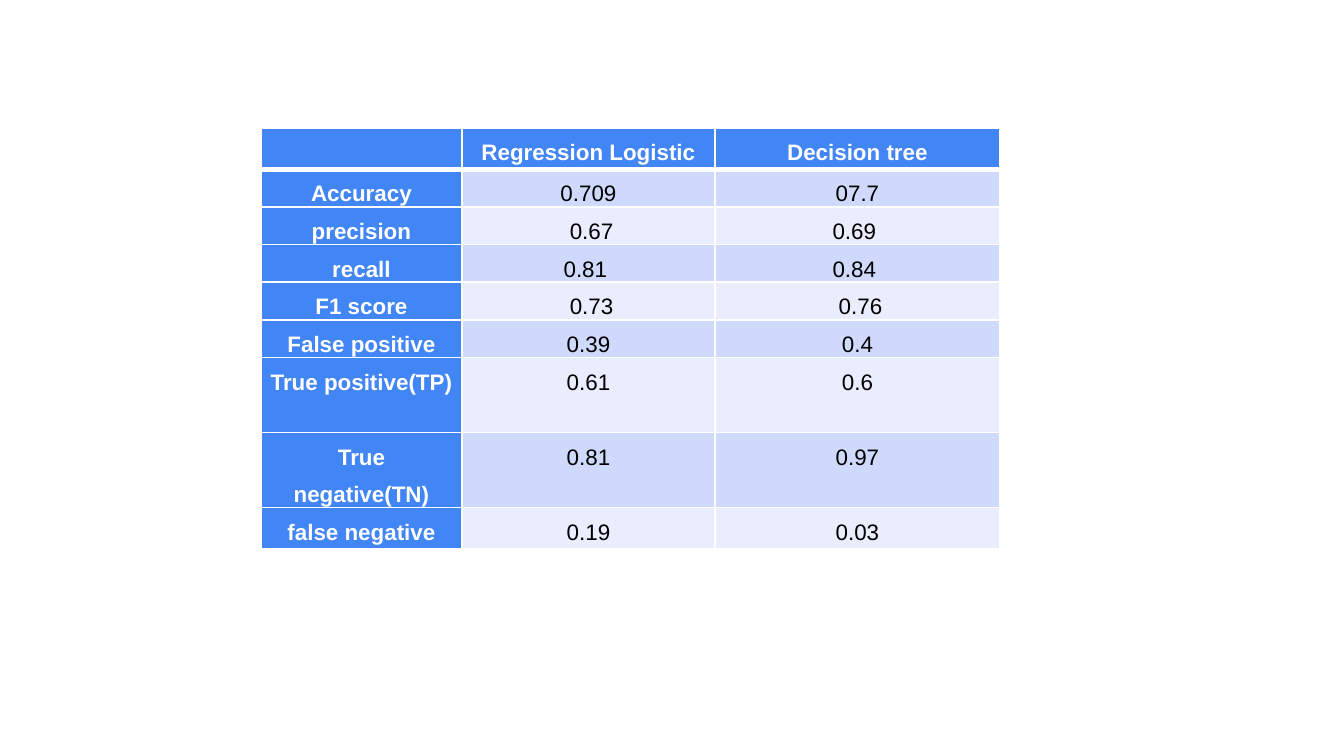
import pptx
import pptx.dml.color
import pptx.enum.text
import pptx.oxml
import pptx.oxml.ns
import pptx.util

ROWS = [
    ("", "Regression Logistic", "Decision tree"),
    ("Accuracy", "0.709", "07.7"),
    ("precision", " 0.67", "0.69 "),
    ("recall", "0.81 ", "0.84 "),
    ("F1 score", " 0.73", " 0.76"),
    ("False positive", "0.39", "0.4"),
    ("True positive(TP)", "0.61", "0.6"),
    ("True negative(TN)", "0.81", "0.97"),
    ("false negative", "0.19", "0.03"),
]
LEFT, TOP = 261, 128
COLUMN_WIDTHS = [201, 253, 285]
ROW_HEIGHTS = [39] + [37] * 5 + [75] * 2 + [41]

WHITE = pptx.dml.color.RGBColor(0xFF, 0xFF, 0xFF)
BLACK = pptx.dml.color.RGBColor(0x00, 0x00, 0x00)
BLUE = pptx.dml.color.RGBColor(0x42, 0x85, 0xF4)
BANDS = [
    pptx.dml.color.RGBColor(0xE9, 0xED, 0xFD),
    pptx.dml.color.RGBColor(0xCF, 0xD9, 0xFB),
]


def px(length):
    return pptx.util.Emu(round(length * 914400 / 134.4))


def add_borders(cell, widths):
    """Draw white cell borders; widths maps a side (L, R, T, B) to points."""
    properties = cell._tc.get_or_add_tcPr()
    for side, width in widths.items():
        properties.append(pptx.oxml.parse_xml(
            f'<a:ln{side} {pptx.oxml.ns.nsdecls("a")} w="{pptx.util.Pt(width)}">'
            f'<a:solidFill><a:srgbClr val="{WHITE}"/></a:solidFill></a:ln{side}>'
        ))


def fill_cell(cell, text, row, column):
    heading = row == 0 or column == 0
    add_borders(cell, {"L": 1, "R": 1, "T": 3 if row == 1 else 1,
                       "B": 3 if row == 0 else 1})
    cell.fill.solid()
    cell.fill.fore_color.rgb = BLUE if heading else BANDS[row % 2]
    cell.margin_left = cell.margin_right = pptx.util.Inches(0.07)
    cell.margin_top = cell.margin_bottom = 0
    if not text:
        return
    para = cell.text_frame.paragraphs[0]
    para.text = text
    para.alignment = pptx.enum.text.PP_ALIGN.CENTER
    para.line_spacing = 1.5
    font = para.runs[0].font
    font.name = "Arial"
    font.size = pptx.util.Pt(12)
    font.bold = heading
    font.color.rgb = WHITE if heading else BLACK


def main():
    deck = pptx.Presentation()
    deck.slide_width, deck.slide_height = px(1344), px(756)
    page = deck.slides.add_slide(deck.slide_layouts[6])
    table = page.shapes.add_table(
        len(ROWS), len(COLUMN_WIDTHS), px(LEFT), px(TOP),
        px(sum(COLUMN_WIDTHS)), px(sum(ROW_HEIGHTS)),
    ).table
    table.first_col = True
    for column, width in zip(table.columns, COLUMN_WIDTHS):
        column.width = px(width)
    for row, height in zip(table.rows, ROW_HEIGHTS):
        row.height = px(height)
    for r, texts in enumerate(ROWS):
        for c, text in enumerate(texts):
            fill_cell(table.cell(r, c), text, r, c)
    deck.save("out.pptx")


if __name__ == "__main__":
    main()
